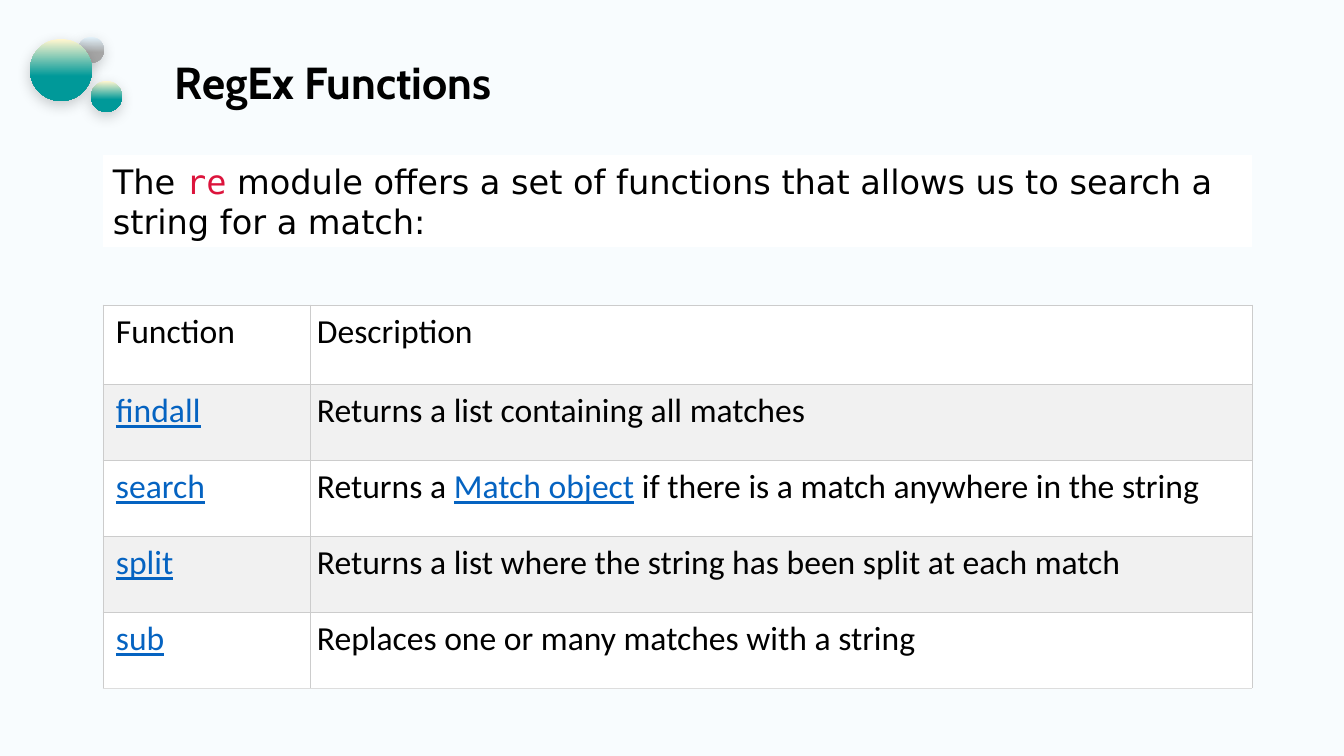
"""Build the slide on the functions of the regular expression module."""
import pptx
import pptx.dml.color
import pptx.enum.shapes
import pptx.enum.text
import pptx.oxml
import pptx.oxml.ns
import pptx.util

BLACK, LINK, RED = "000000", "0563C1", "DC143C"
WHITE, BAND, EDGE, FOOT = "FFFFFF", "F1F1F1", "CCCCCC", "DDDDDD"
TEAL, GRAY = ("FFF6CF", "009999"), ("E1F0F9", "A5A5A5")
BALLS = [(78, 37, 26, GRAY), (91, 81, 31, TEAL), (30, 39, 62, TEAL)]
TITLE = "RegEx Functions"
SANS = {"font": "DejaVu Sans"}
INTRO = [
    ("The ", SANS),
    ("re", {"font": "DejaVu Sans Mono", "color": RED}),
    (" module offers a set of functions that allows us to search a string for a match:", SANS),
]
LINKED = {"color": LINK, "under": True}
ROWS = [
    ([("Function", {})], [("Description", {})]),
    ([("findall", LINKED)], [("Returns a list containing all matches", {})]),
    ([("search", LINKED)], [
        ("Returns a ", {}),
        ("Match object", LINKED),
        (" if there is a match anywhere in the string", {}),
    ]),
    ([("split", LINKED)],
     [("Returns a list where the string has been split at each match", {})]),
    ([("sub", LINKED)], [("Replaces one or many matches with a string", {})]),
]
LEFT, WIDE = 103, 1149
COLS = (207, 942)
HEAD, BODY = 79, 76
NS = pptx.oxml.ns.nsdecls("a")


def px(num):
    return pptx.util.Emu(round(num * 914400 / 100.8))


def tint(code):
    return pptx.dml.color.RGBColor.from_string(code)


def paint(fill, code):
    fill.solid()
    fill.fore_color.rgb = tint(code)


def write(frame, text, font="Calibri", size=24, color=BLACK, bold=False, under=False):
    run = frame.paragraphs[0].add_run()
    run.text = text
    face = run.font
    face.name, face.size = font, pptx.util.Pt(size)
    face.bold, face.underline = bold, under
    face.color.rgb = tint(color)


def plain(slide, kind, *box):
    shape = slide.shapes.add_shape(kind, *map(px, box))
    shape.shadow.inherit = False
    shape.line.fill.background()
    return shape


def ball(slide, left, top, side, tones):
    shape = plain(slide, pptx.enum.shapes.MSO_SHAPE.OVAL, left, top, side, side)
    shape.fill.gradient()
    shape.fill.gradient_angle = 270
    for stop, spot, tone in zip(shape.fill.gradient_stops, (0.01, 0.6), tones):
        stop.position = spot
        stop.color.rgb = tint(tone)
    glow = shape.element.spPr.find(pptx.oxml.ns.qn("a:effectLst"))
    glow.append(pptx.oxml.parse_xml(
        f'<a:outerShdw {NS} blurRad="127000" dist="38100" dir="5400000" algn="t" '
        f'rotWithShape="0"><a:srgbClr val="{BLACK}"><a:alpha val="20000"/>'
        '</a:srgbClr></a:outerShdw>'))


def border(cell, base):
    props = cell._tc.get_or_add_tcPr()
    for spot, side in enumerate("LRTB"):
        tone = base if side == "B" else EDGE
        props.insert(spot, pptx.oxml.parse_xml(
            f'<a:ln{side} {NS} w="7620"><a:solidFill><a:srgbClr val="{tone}"/>'
            f'</a:solidFill></a:ln{side}>'))


def grid(slide):
    high = HEAD + BODY * (len(ROWS) - 1)
    table = slide.shapes.add_table(
        len(ROWS), len(COLS), *map(px, (LEFT, 305, WIDE, high))).table
    table.first_row = table.horz_banding = False
    for col, wide in zip(table.columns, COLS):
        col.width = px(wide)
    for at, row in enumerate(ROWS):
        table.rows[at].height = px(BODY if at else HEAD)
        for side, runs in enumerate(row):
            cell = table.cell(at, side)
            cell.margin_left = px(7 if side else 13)
            cell.margin_top = cell.margin_right = cell.margin_bottom = px(7)
            paint(cell.fill, BAND if at % 2 else WHITE)
            border(cell, FOOT if at == len(ROWS) - 1 else EDGE)
            for text, look in runs:
                write(cell.text_frame, text, **look)


def main():
    deck = pptx.Presentation()
    deck.slide_width, deck.slide_height = px(1344), px(756)
    slide = deck.slides.add_slide(deck.slide_layouts[6])
    paint(slide.background.fill, "F8FCFE")
    for item in BALLS:
        ball(slide, *item)
    title = slide.shapes.add_textbox(*map(px, (165, 50, 672, 65))).text_frame
    title.word_wrap = True
    write(title, TITLE, font="Cabin", size=32, bold=True)
    grid(slide)
    panel = plain(slide, pptx.enum.shapes.MSO_SHAPE.RECTANGLE, LEFT, 155, WIDE, 92)
    paint(panel.fill, WHITE)
    frame = panel.text_frame
    frame.word_wrap = True
    frame.vertical_anchor = pptx.enum.text.MSO_ANCHOR.MIDDLE
    frame.paragraphs[0].alignment = pptx.enum.text.PP_ALIGN.LEFT
    for text, look in INTRO:
        write(frame, text, **look)
    deck.save("out.pptx")


if __name__ == "__main__":
    main()
